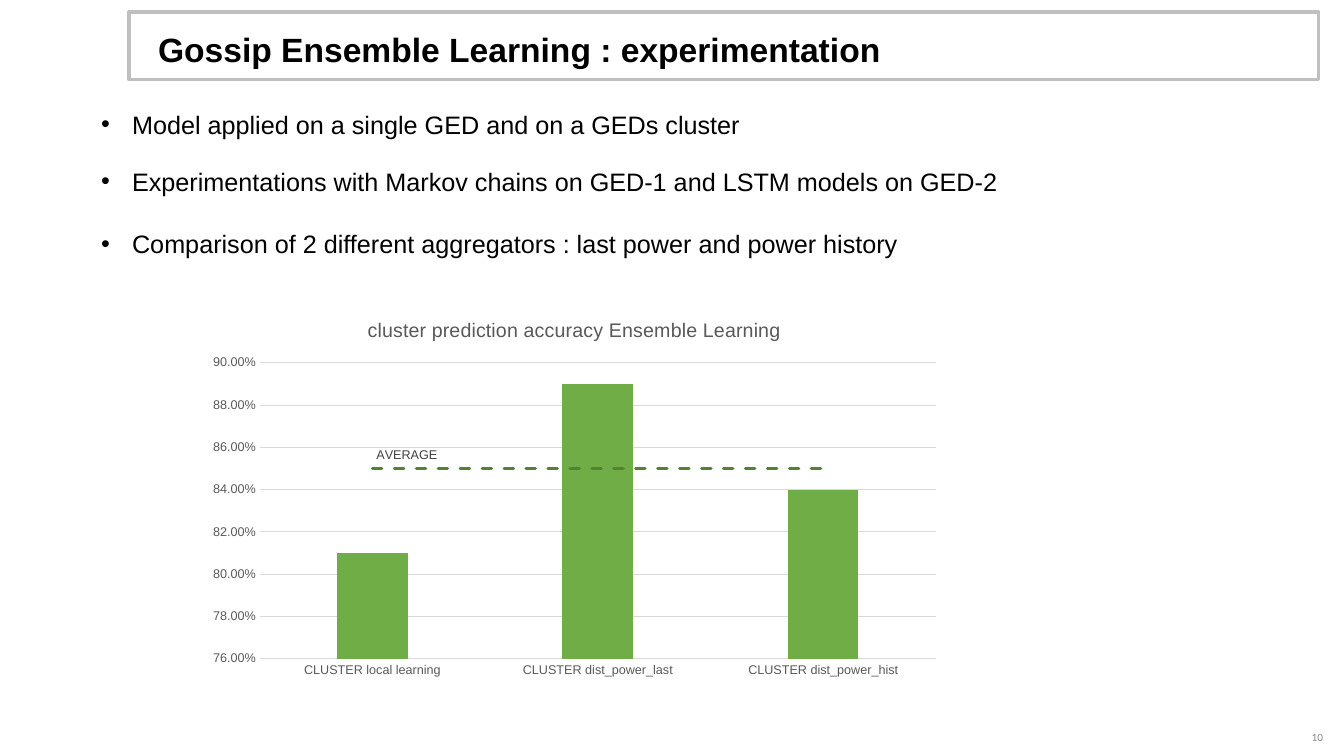
from lxml.etree import SubElement
from pptx import Presentation
from pptx.chart.data import CategoryChartData as ChartData
from pptx.dml.color import RGBColor
from pptx.enum.chart import (
    XL_CHART_TYPE as Kind,
    XL_LABEL_POSITION as Spot,
    XL_MARKER_STYLE as Mark,
    XL_TICK_MARK as Tick,
)
from pptx.enum.dml import MSO_LINE as Dash
from pptx.enum.shapes import MSO_SHAPE as Shape
from pptx.enum.text import MSO_ANCHOR as Anchor, MSO_AUTO_SIZE as Fit, PP_ALIGN as Align
from pptx.oxml import parse_xml
from pptx.oxml.ns import nsdecls, qn
from pptx.util import Pt

PX = 914400 / 100.8

BLACK = RGBColor(0x00, 0x00, 0x00)
FRAME = RGBColor(0xBF, 0xBF, 0xBF)
GRID = RGBColor(0xD9, 0xD9, 0xD9)
GRAY = RGBColor(0x59, 0x59, 0x59)
DARK = RGBColor(0x40, 0x40, 0x40)
PALE = RGBColor(0x88, 0x88, 0x88)
GREEN = RGBColor(0x70, 0xAD, 0x47)
MOSS = RGBColor(0x54, 0x82, 0x35)

# Each point with the space before it, in points
POINTS = [
    ("Model applied on a single GED and on a GEDs cluster", 0),
    ("Experimentations with Markov chains on GED-1 and LSTM models on GED-2", 19),
    ("Comparison of 2 different aggregators : last power and power history", 23),
]
SCORES = {
    "CLUSTER local learning": 0.81,
    "CLUSTER dist_power_last": 0.89,
    "CLUSTER dist_power_hist": 0.84,
}
MEAN = 0.85
CHART = (198, 301, 753, 384)
PLOT = (260, 363, 676, 296)


def px(*sizes):
    return [round(size * PX) for size in sizes]


def place(shape, *box):
    shape.left, shape.top, shape.width, shape.height = px(*box)


def style(font, size, color, name="Arial", bold=False):
    font.size, font.name, font.bold = Pt(size), name, bold
    font.color.rgb = color


def add_title(slide, text):
    title = slide.shapes.title
    place(title, 148, 28, 1151, 48)
    frame = title.text_frame
    frame.text = text
    frame.auto_size, frame.vertical_anchor = Fit.NONE, Anchor.MIDDLE
    para = frame.paragraphs[0]
    para.alignment, para.line_spacing = Align.LEFT, 0.9
    style(para.font, 24, BLACK, bold=True)


def add_frame(slide):
    rect = slide.shapes.add_shape(Shape.RECTANGLE, *px(129, 12, 1190, 68))
    rect.shadow.inherit = False
    rect.fill.background()
    rect.line.color.rgb = FRAME
    rect.line.width = Pt(2.25)


def add_list(slide, points):
    body = slide.placeholders[1]
    place(body, 91, 104, 975, 160)
    frame = body.text_frame
    frame.auto_size, frame.vertical_anchor = Fit.NONE, Anchor.TOP
    frame.text = "\n".join(text for text, gap in points)
    for para, (text, gap) in zip(frame.paragraphs, points):
        para.space_before, para.space_after = Pt(gap), Pt(0)
        para.line_spacing = 1.0
        style(para.font, 18, BLACK)
        indent = px(31)[0]
        props = para._p.get_or_add_pPr()
        props.set("marL", str(indent))
        props.set("indent", str(-indent))
        SubElement(props, qn("a:buChar"), char="•")


def add_page(slide, text):
    box = slide.shapes.add_textbox(*px(1281, 722, 52, 31))
    frame = box.text_frame
    frame.text = text
    frame.word_wrap, frame.vertical_anchor = True, Anchor.MIDDLE
    para = frame.paragraphs[0]
    para.alignment = Align.RIGHT
    style(para.font, 8, PALE, "Calibri")


def make_layout(x, y, size=None):
    """Manual layout: an offset alone, or the inner plot area with its size."""
    modes, ends = "", ""
    if size:
        modes = ('<c:layoutTarget val="inner"/><c:xMode val="edge"/>'
                 '<c:yMode val="edge"/>')
        ends = f'<c:w val="{size[0]:.3f}"/><c:h val="{size[1]:.3f}"/>'
    return parse_xml(
        f'<c:layout {nsdecls("c")}><c:manualLayout>{modes}<c:x val="{x:.3f}"/>'
        f'<c:y val="{y:.3f}"/>{ends}</c:manualLayout></c:layout>'
    )


def set_plot(chart):
    area = chart.element.find(".//" + qn("c:plotArea"))
    for old in area.findall(qn("c:layout")):
        area.remove(old)
    left, top, wide, high = CHART
    x, y, w, h = PLOT
    area.insert(0, make_layout((x - left) / wide, (y - top) / high,
                               (w / wide, h / high)))


def split_line(chart):
    """Move the second series from the columns to a line on the same axes."""
    bars = chart.element.find(".//" + qn("c:barChart"))
    series = bars.findall(qn("c:ser"))[1]
    for flag in series.findall(qn("c:invertIfNegative")):
        series.remove(flag)
    line = parse_xml(
        f'<c:lineChart {nsdecls("c")}><c:grouping val="standard"/>'
        '<c:varyColors val="0"/></c:lineChart>'
    )
    line.append(series)
    SubElement(line, qn("c:marker"), val="1")
    for axis in bars.findall(qn("c:axId")):
        SubElement(line, qn("c:axId"), val=axis.get("val"))
    bars.addnext(line)


def set_axes(chart):
    cats, vals = chart.category_axis, chart.value_axis
    for axis in (cats, vals):
        axis.major_tick_mark = axis.minor_tick_mark = Tick.NONE
        style(axis.tick_labels.font, 9, GRAY)
    vals.minimum_scale, vals.maximum_scale, vals.major_unit = 0.76, 0.9, 0.02
    vals.tick_labels.number_format = "0.00%"
    vals.tick_labels.number_format_is_linked = False
    vals.format.line.fill.background()
    for line in (cats.format.line, vals.major_gridlines.format.line):
        line.color.rgb, line.width = GRID, Pt(0.75)


def set_mean(mean):
    mean.smooth = False
    mean.marker.style = Mark.NONE
    line = mean.format.line
    line.color.rgb, line.width, line.dash_style = MOSS, Pt(2.25), Dash.DASH
    mean._element.find(".//" + qn("a:ln")).set("cap", "rnd")
    label = mean.points[0].data_label
    label.text_frame.text = "AVERAGE"
    style(label.text_frame.paragraphs[0].font, 9, DARK)
    label.position = Spot.RIGHT
    item = label._get_or_add_dLbl()
    item.find(qn("c:idx")).addnext(make_layout(0, -13 / CHART[3]))


def add_chart(slide):
    data = ChartData(number_format="0.00%")
    data.categories = list(SCORES)
    data.add_series("Series 1", list(SCORES.values()))
    data.add_series("Series 2", [MEAN] * len(SCORES))
    chart = slide.shapes.add_chart(Kind.COLUMN_CLUSTERED, *px(*CHART), data).chart
    style(chart.font, 10, BLACK)
    chart.has_legend = False
    chart.has_title = True
    title = chart.chart_title
    title.include_in_layout = False
    title.text_frame.text = "cluster prediction accuracy Ensemble Learning"
    style(title.text_frame.paragraphs[0].font, 14, GRAY)

    split_line(chart)
    set_plot(chart)
    set_axes(chart)
    bars, line = chart.plots
    bars.gap_width, bars.vary_by_categories = 219, False
    fill = bars.series[0].format.fill
    fill.solid()
    fill.fore_color.rgb = GREEN
    set_mean(line.series[0])


def main():
    deck = Presentation()
    deck.slide_width, deck.slide_height = px(1344, 756)
    slide = deck.slides.add_slide(deck.slide_layouts[1])
    add_title(slide, "Gossip Ensemble Learning : experimentation")
    add_frame(slide)
    add_list(slide, POINTS)
    add_chart(slide)
    add_page(slide, "10")
    deck.save("out.pptx")


if __name__ == "__main__":
    main()
